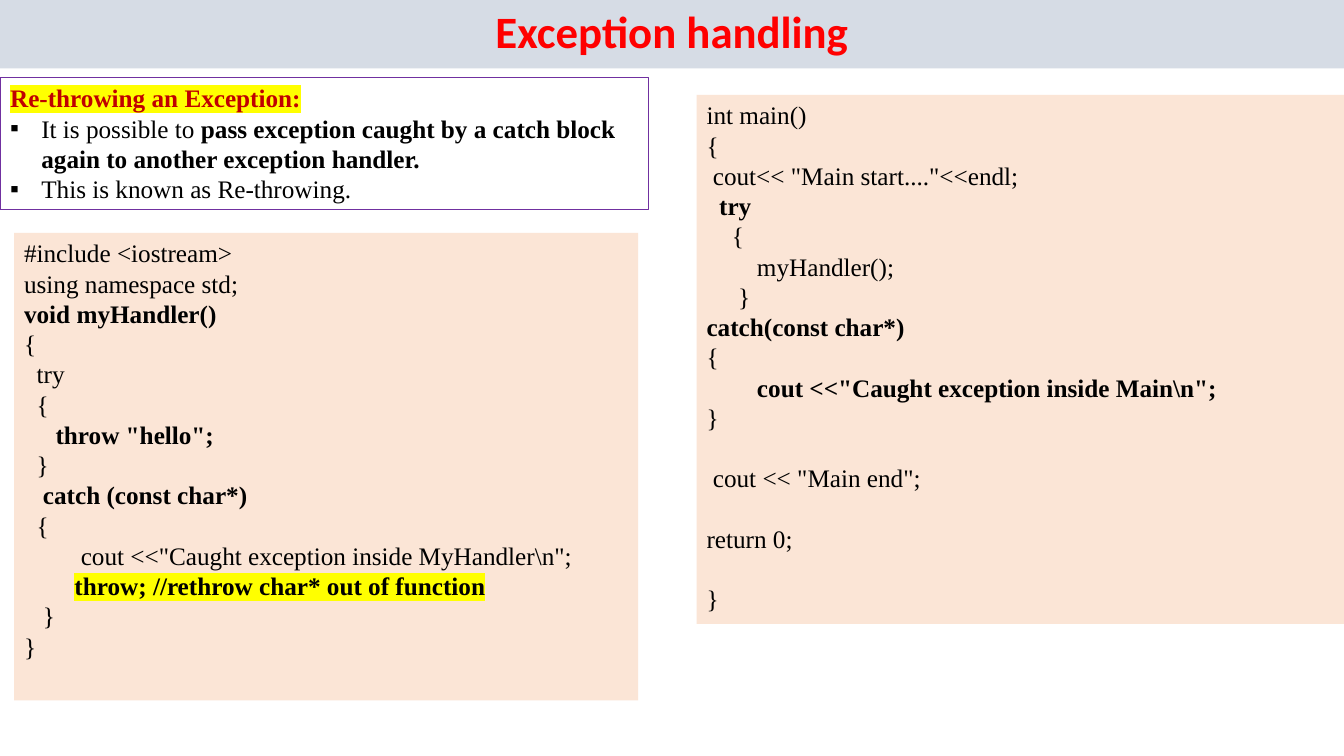
from dataclasses import dataclass

from lxml import etree
from pptx import Presentation
from pptx.dml.color import RGBColor
from pptx.enum import text as enums
from pptx.oxml import ns
from pptx.util import Inches, Pt


# Theme: colours, fonts and type sizes
@dataclass(frozen=True)
class Theme:
    band: str = "D6DCE5"
    title: str = "FF0000"
    head: str = "C00000"
    ink: str = "000000"
    edge: str = "7030A0"
    code: str = "FBE5D6"
    mark: str = "FFFF00"
    sans: str = "Calibri"
    serif: str = "Times New Roman"
    big: float = 32
    size: float = 18
    pitch: float = 21.6


@dataclass(frozen=True)
class Box:
    left: float
    top: float
    width: float
    height: float


@dataclass(frozen=True)
class Line:
    text: str
    step: int = 0  # indent, in widths of a space
    bold: bool = False
    gap: bool = False  # one free line above
    mark: bool = False


@dataclass(frozen=True)
class Panel:
    box: Box
    lines: tuple[Line, ...]


THEME = Theme()
SPACE = THEME.size / 4 / 72  # width of a space, in inches
HANG = 0.31

LEFT = Panel(Box(0.14, 2.31, 6.19, 4.64), (
    Line("#include <iostream>"),
    Line("using namespace std;"),
    Line("void myHandler()", bold=True),
    Line("{"),
    Line("try", 2),
    Line("{", 2),
    Line('throw "hello";', 5, bold=True),
    Line("}", 2),
    Line("catch (const char*)", 3, bold=True),
    Line("{", 2),
    Line('cout <<"Caught exception inside MyHandler\\n";', 9),
    Line("throw; //rethrow char* out of function", 8, bold=True, mark=True),
    Line("}", 3),
    Line("}"),
))
RIGHT = Panel(Box(6.91, 0.94, 6.7, 5.25), (
    Line("int main()"),
    Line("{"),
    Line('cout<< "Main start...."<<endl;', 1),
    Line("try", 2, bold=True),
    Line("{", 4),
    Line("myHandler();", 8),
    Line("}", 5),
    Line("catch(const char*)", bold=True),
    Line("{"),
    Line('cout <<"Caught exception inside Main\\n";', 8, bold=True),
    Line("}"),
    Line('cout << "Main end";', 1, gap=True),
    Line("return 0;", gap=True),
    Line("}", gap=True),
))


def rgb(code: str) -> RGBColor:
    return RGBColor.from_string(code)


def place(shape, box: Box) -> None:
    shape.left, shape.top = Inches(box.left), Inches(box.top)
    shape.width, shape.height = Inches(box.width), Inches(box.height)


def setup(shape, anchor=enums.MSO_ANCHOR.TOP):
    frame = shape.text_frame
    frame.word_wrap = True
    frame.auto_size = enums.MSO_AUTO_SIZE.NONE
    frame.vertical_anchor = anchor
    return frame


def rows(frame, count: int) -> list:
    return [frame.paragraphs[0]] + [frame.add_paragraph() for _ in range(count - 1)]


def add_run(para, words: str, color: str = THEME.ink, bold: bool = False,
            mark: bool = False, size: float = THEME.size,
            face: str = THEME.serif) -> None:
    run = para.add_run()
    run.text = words
    font = run.font
    font.size, font.bold, font.name = Pt(size), bold, face
    font.color.rgb = rgb(color)
    if mark:
        glow = etree.Element(ns.qn("a:highlight"))
        etree.SubElement(glow, ns.qn("a:srgbClr"), val=THEME.mark)
        run._r.get_or_add_rPr().find(ns.qn("a:solidFill")).addnext(glow)


def space(para, left: float = 0, first: float = 0, gap: bool = False):
    para.line_spacing = Pt(THEME.pitch)
    para.space_before = Pt(THEME.pitch if gap else 0)
    para.space_after = Pt(0)
    props = para._p.get_or_add_pPr()
    props.set("marL", str(Inches(left)))
    props.set("indent", str(Inches(first)))
    return props


def add_title(slide) -> None:
    shape = slide.shapes.title
    place(shape, Box(0, 0, 13.33, 0.68))
    shape.fill.solid()
    shape.fill.fore_color.rgb = rgb(THEME.band)
    para = setup(shape, enums.MSO_ANCHOR.MIDDLE).paragraphs[0]
    para.alignment = enums.PP_ALIGN.CENTER
    para.line_spacing = 0.9
    para.space_after = Pt(8)
    add_run(para, "Exception handling", THEME.title, True,
            size=THEME.big, face=THEME.sans)


def add_notion(slide) -> None:
    shape = slide.placeholders[1]
    place(shape, Box(0, 0.77, 6.43, 1.31))
    shape.line.color.rgb = rgb(THEME.edge)
    shape.line.width = Pt(0.75)
    head, *items = rows(setup(shape), 3)
    etree.SubElement(space(head), ns.qn("a:buNone"))
    add_run(head, "Re-throwing an Exception:", THEME.head, True, True)
    for item in items:
        props = space(item, HANG, -HANG)
        etree.SubElement(props, ns.qn("a:buFont"), typeface="Arial")
        etree.SubElement(props, ns.qn("a:buChar"), char="▪")
    add_run(items[0], "It is possible to ")
    add_run(items[0], "pass exception caught by a catch block again to "
                      "another exception handler.", bold=True)
    add_run(items[1], "This is known as Re-throwing.")


def add_code(slide, panel: Panel) -> None:
    box = panel.box
    shape = slide.shapes.add_textbox(Inches(box.left), Inches(box.top),
                                     Inches(box.width), Inches(box.height))
    shape.fill.solid()
    shape.fill.fore_color.rgb = rgb(THEME.code)
    frame = setup(shape)
    for para, line in zip(rows(frame, len(panel.lines)), panel.lines):
        space(para, line.step * SPACE, gap=line.gap)
        add_run(para, line.text, bold=line.bold, mark=line.mark)


def main() -> None:
    deck = Presentation()
    deck.slide_width, deck.slide_height = Inches(13.33), Inches(7.5)
    slide = deck.slides.add_slide(deck.slide_layouts[1])
    add_title(slide)
    add_notion(slide)
    for panel in (LEFT, RIGHT):
        add_code(slide, panel)
    deck.save("out.pptx")


if __name__ == "__main__":
    main()
